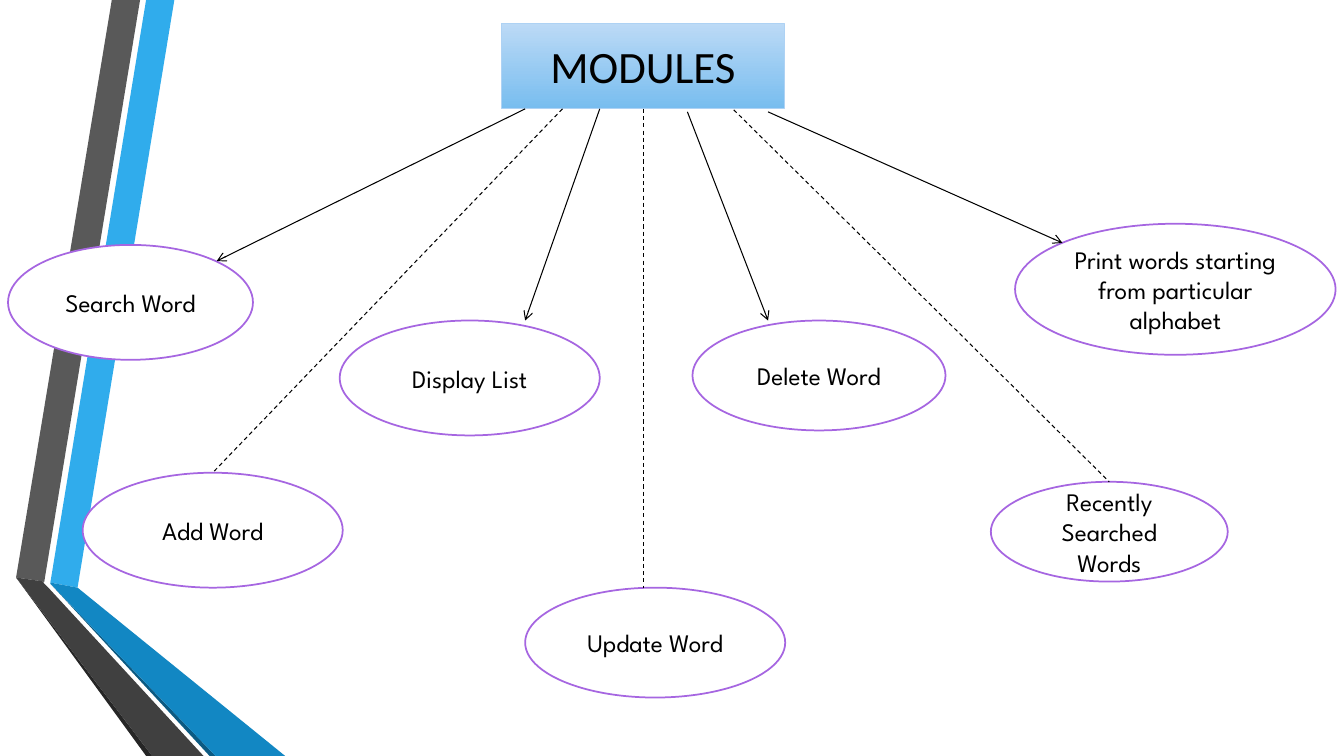
"""Build a slide that maps the seven modules of a word list program."""
from dataclasses import dataclass
from typing import Optional

from lxml.etree import SubElement
from pptx import Presentation
from pptx.dml.color import RGBColor
from pptx.enum.dml import MSO_LINE
from pptx.enum.shapes import MSO_CONNECTOR as Connector, MSO_SHAPE as Preset
from pptx.enum.text import MSO_ANCHOR as Anchor, PP_ALIGN as Align
from pptx.oxml.ns import qn
from pptx.util import Inches, Pt

SLIDE_WIDTH, SLIDE_HEIGHT = Inches(40 / 3), Inches(7.5)
COLUMNS, ROWS = 80, 45
Point = tuple[float, float]
Box = tuple[float, float, float, float]


@dataclass(frozen=True)
class Band:
    color: str
    points: tuple[Point, ...]


@dataclass(frozen=True)
class Module:
    label: str
    box: Box
    start: Point
    end: Point
    dashed: bool = False
    start_site: Optional[int] = None
    end_site: Optional[int] = None


BANDS = (
    Band("30ACEC", ((3, 34.68), (4.62, 34.98), (10.38, 0), (8.7, 0))),
    Band("595959", ((8.34, 0), (6.66, 0), (0.96, 34.38), (2.64, 34.62))),
    Band("262626", ((0.96, 34.38), (8.7, 45), (9.06, 45))),
    Band("0C5A82", ((3, 34.74), (12.48, 45), (12.84, 45))),
    Band("1287C3", ((3, 34.74), (12.84, 45), (16.98, 45), (4.62, 34.98), (3, 34.68))),
    Band("404040", ((12.12, 45), (2.88, 34.98), (2.58, 34.68), (2.64, 34.62),
                    (0.96, 34.38), (9.06, 45))),
)
TITLE_BOX = (29.88, 1.38, 16.8, 5.1)
TITLE_FORMAT = {"name": "Calibri", "size": Pt(32)}
MODULE_FORMAT = {"name": "League Spartan", "size": Pt(18)}
MODULES = (
    Module("Search Word", (0.48, 14.58, 14.58, 6.84), (31.26, 6.48), (12.9, 15.54)),
    Module("Add Word", (4.92, 28.14, 15.48, 6.84), (33.48, 6.48), (12.66, 28.14),
           dashed=True, end_site=0),
    Module("Display List", (20.22, 19.08, 15.48, 6.84), (35.7, 6.48), (31.26, 19.08)),
    Module("Update Word", (31.26, 34.98, 15.48, 6.54), (38.28, 6.48), (38.28, 34.98),
           dashed=True, start_site=2),
    Module("Delete Word", (41.22, 19.08, 15.06, 6.54), (40.92, 6.66), (45.72, 19.08)),
    Module("Print words starting from particular alphabet",
           (60.42, 13.32, 19.08, 7.8), (45.72, 6.66), (63.24, 14.46)),
    Module("Recently Searched Words", (58.98, 28.68, 14.1, 5.94), (43.68, 6.54),
           (66.06, 28.68), dashed=True, end_site=0),
)


def rgb(value: str) -> RGBColor:
    """Turn a hex string into a colour."""
    return RGBColor.from_string(value)


def place(column: float, row: float) -> tuple[int, int]:
    """Turn grid columns and rows into slide lengths."""
    return round(column * SLIDE_WIDTH / COLUMNS), round(row * SLIDE_HEIGHT / ROWS)


def draw_band(slide, band: Band) -> None:
    """Draw one filled outline of the side ribbon."""
    first, *others = [place(*point) for point in band.points]
    builder = slide.shapes.build_freeform(*first, scale=1.0)
    builder.add_line_segments(others, close=True)
    shape = builder.convert_to_shape()
    shape.shadow.inherit = False
    shape.fill.solid()
    shape.fill.fore_color.rgb = rgb(band.color)
    shape.line.fill.background()


def draw_label(slide, preset: Preset, box: Box, text: str, font_format: dict,
               line_color: str, line_width: float):
    """Draw an outlined shape with centred black text."""
    shape = slide.shapes.add_shape(preset, *place(*box[:2]), *place(*box[2:]))
    shape.shadow.inherit = False
    shape.fill.solid()
    shape.fill.fore_color.rgb = rgb("FFFFFF")
    shape.line.color.rgb = rgb(line_color)
    shape.line.width = Pt(line_width)
    frame = shape.text_frame
    frame.word_wrap = True
    frame.vertical_anchor = Anchor.MIDDLE
    paragraph = frame.paragraphs[0]
    paragraph.alignment = Align.CENTER
    run = paragraph.add_run()
    run.text = text
    for attribute, value in font_format.items():
        setattr(run.font, attribute, value)
    run.font.color.rgb = rgb("000000")
    return shape


def draw_title(slide):
    """Draw the title box with its vertical gradient."""
    title = draw_label(slide, Preset.RECTANGLE, TITLE_BOX, "MODULES",
                       TITLE_FORMAT, "AED2F4", 0.75)
    title.fill.gradient()
    title.fill.gradient_angle = 270
    for stop, color in zip(title.fill.gradient_stops, ("BCDAF6", "78BDEF")):
        stop.color.rgb = rgb(color)
    return title


def draw_link(slide, module: Module, title, ellipse) -> None:
    """Draw the dashed line or the arrow from the title to a module."""
    link = slide.shapes.add_connector(
        Connector.STRAIGHT, *place(*module.start), *place(*module.end))
    if module.start_site is not None:
        link.begin_connect(title, module.start_site)
    if module.end_site is not None:
        link.end_connect(ellipse, module.end_site)
    link.line.color.rgb = rgb("000000")
    link.line.width = Pt(0.75)
    properties = link._element.spPr
    if module.dashed:
        link.line.dash_style = MSO_LINE.DASH
    else:
        SubElement(properties.find(qn("a:ln")), qn("a:tailEnd"), type="arrow")
    SubElement(properties, qn("a:effectLst"))


def main() -> None:
    """Build and save the presentation."""
    presentation = Presentation()
    presentation.slide_width, presentation.slide_height = SLIDE_WIDTH, SLIDE_HEIGHT
    slide = presentation.slides.add_slide(presentation.slide_layouts[6])
    for band in BANDS:
        draw_band(slide, band)
    title = draw_title(slide)
    ellipses = [draw_label(slide, Preset.OVAL, module.box, module.label,
                           MODULE_FORMAT, "A666E1", 1.25) for module in MODULES]
    for module, ellipse in zip(MODULES, ellipses):
        draw_link(slide, module, title, ellipse)
    presentation.save("out.pptx")


if __name__ == "__main__":
    main()
